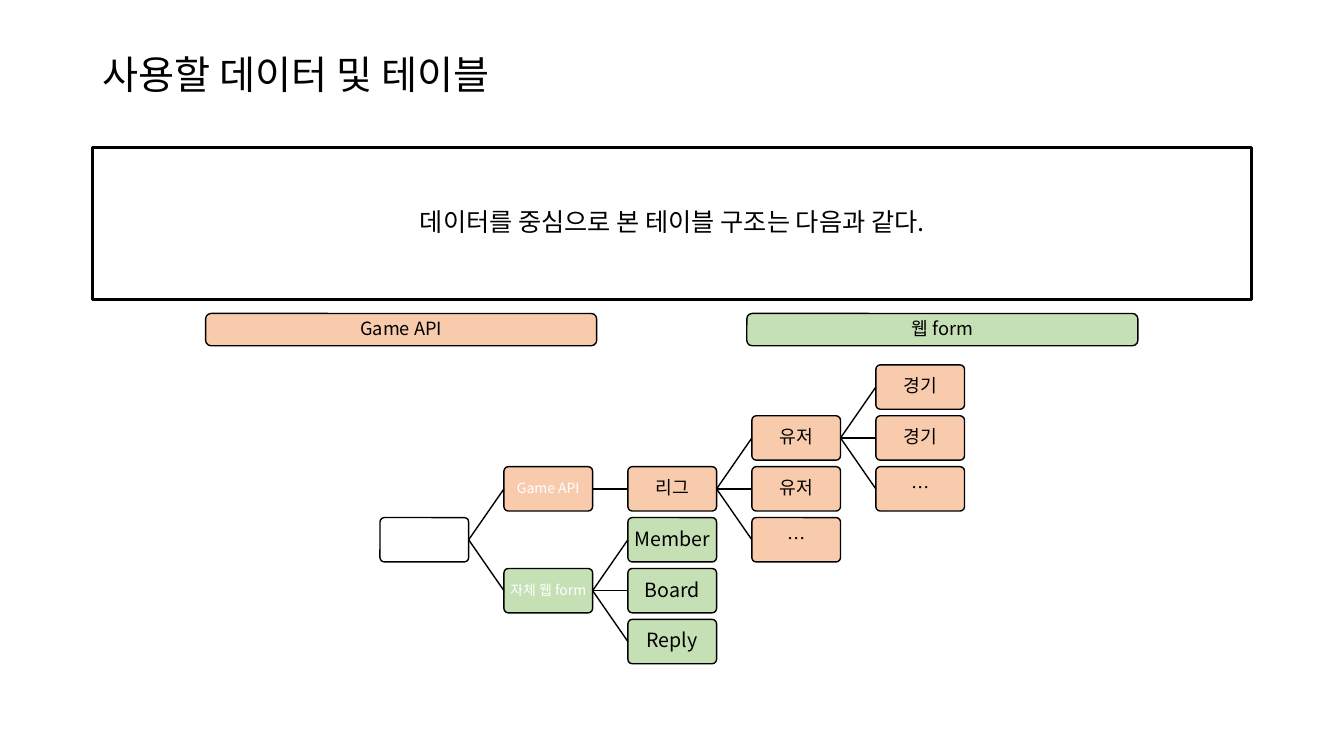
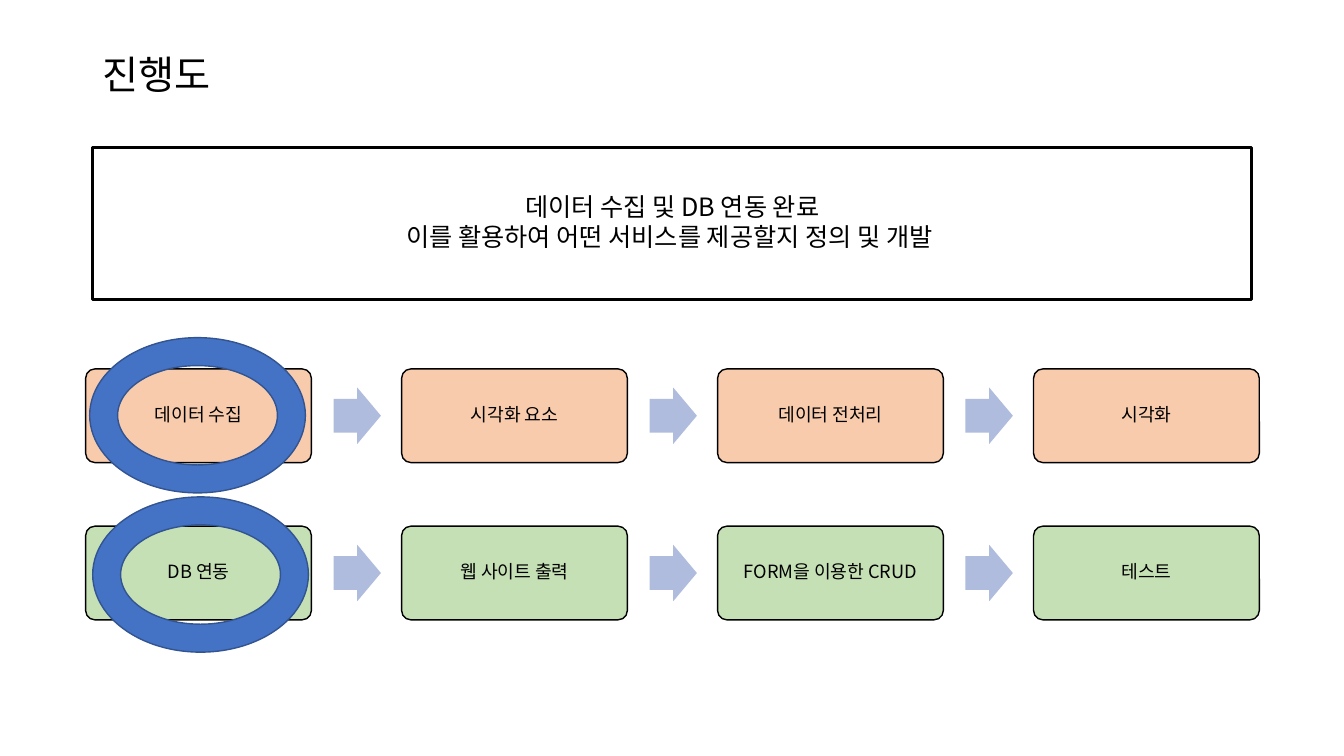
import pptx
import pptx.dml.color
import pptx.enum.shapes
import pptx.enum.text
import pptx.oxml.ns
import pptx.util
import lxml.etree

RGBColor = pptx.dml.color.RGBColor
BLACK = RGBColor(0x00, 0x00, 0x00)
WHITE = RGBColor(0xFF, 0xFF, 0xFF)
ORANGE = RGBColor(0xF8, 0xCB, 0xAD)
GREEN = RGBColor(0xC5, 0xE0, 0xB4)
ARROW = RGBColor(0xB0, 0xBC, 0xDE)
BLUE = RGBColor(0x44, 0x72, 0xC4)
DARK_BLUE = RGBColor(0x32, 0x54, 0x91)

FONT = "Noto Sans CJK KR"
PX = 4572
SHAPES = pptx.enum.shapes.MSO_SHAPE
ALIGN = pptx.enum.text.PP_ALIGN
qn = pptx.oxml.ns.qn


def write(text_frame, text, size, color=BLACK, align=ALIGN.CENTER, spacing=0.9, after=0):
    text_frame.text = text
    text_frame.word_wrap = True
    text_frame.vertical_anchor = pptx.enum.text.MSO_ANCHOR.MIDDLE
    for paragraph in text_frame.paragraphs:
        paragraph.alignment = align
        paragraph.line_spacing = spacing
        paragraph.space_after = pptx.util.Pt(after)
        for run in paragraph.runs:
            run.font.size = pptx.util.Pt(size)
            run.font.color.rgb = color
            run.font.name = FONT
            east_asian = lxml.etree.SubElement(run.font._element, qn("a:ea"))
            east_asian.set("typeface", FONT)


def add_shape(slide, kind, box, fill, line=BLACK, width=1, adjustments=(), text="", size=13, color=BLACK):
    shape = slide.shapes.add_shape(kind, *(length * PX for length in box))
    shape.shadow.inherit = False
    shape.fill.solid()
    shape.fill.fore_color.rgb = fill
    if line is None:
        shape.line.fill.background()
    else:
        shape.line.color.rgb = line
        shape.line.width = pptx.util.Pt(width)
    for index, value in enumerate(adjustments):
        shape.adjustments[index] = value
    if text:
        frame = shape.text_frame
        frame.margin_left = frame.margin_right = 2 * PX
        frame.margin_top = frame.margin_bottom = 2 * PX
        write(frame, text, size, color, after=3)
    return shape


presentation = pptx.Presentation()
presentation.slide_width = 2667 * PX
presentation.slide_height = 1500 * PX

slides = []
for title_text, summary_text in (
    ("사용할 데이터 및 테이블", "데이터를 중심으로 본 테이블 구조는 다음과 같다."),
    ("진행도", "데이터 수집 및 DB 연동 완료\n이를 활용하여 어떤 서비스를 제공할지 정의 및 개발 "),
):
    slide = presentation.slides.add_slide(presentation.slide_layouts[5])
    title = slide.shapes.title
    title.left, title.top, title.width, title.height = 184 * PX, 80 * PX, 2300 * PX, 144 * PX
    write(title.text_frame, title_text, 28, align=ALIGN.LEFT)
    add_shape(slide, SHAPES.RECTANGLE, (184, 292, 2300, 302), WHITE, width=2.25)
    summary = slide.shapes.add_textbox(244 * PX, 368 * PX, 2180 * PX, 142 * PX)
    write(summary.text_frame, summary_text, 18, spacing=1.0)
    slides.append(slide)

table_slide, progress_slide = slides

for left, fill, text in ((408, ORANGE, "Game API"), (1482, GREEN, "웹 form")):
    add_shape(table_slide, SHAPES.ROUNDED_RECTANGLE, (left, 622, 776, 64), fill, text=text)

NODES = (
    ("root", None, 0, 3, WHITE, "", 13, BLACK),
    ("api", "root", 1, 2, ORANGE, "Game API", 10, WHITE),
    ("form", "root", 1, 4, GREEN, "자체 웹 form", 10, WHITE),
    ("league", "api", 2, 2, ORANGE, "리그", 13, BLACK),
    ("member", "form", 2, 3, GREEN, "Member", 14, BLACK),
    ("board", "form", 2, 4, GREEN, "Board", 14, BLACK),
    ("reply", "form", 2, 5, GREEN, "Reply", 14, BLACK),
    ("user 1", "league", 3, 1, ORANGE, "유저", 13, BLACK),
    ("user 2", "league", 3, 2, ORANGE, "유저", 13, BLACK),
    ("more users", "league", 3, 3, ORANGE, "…", 13, BLACK),
    ("match 1", "user 1", 4, 0, ORANGE, "경기", 13, BLACK),
    ("match 2", "user 1", 4, 1, ORANGE, "경기", 13, BLACK),
    ("more matches", "user 1", 4, 2, ORANGE, "…", 13, BLACK),
)
LEFT_SITE, RIGHT_SITE = 1, 3
nodes = {}
for name, parent, column, row, fill, text, size, color in NODES:
    box = (754 + 246 * column, 724 + 101 * row, 176, 88)
    nodes[name] = add_shape(table_slide, SHAPES.ROUNDED_RECTANGLE, box, fill,
                            adjustments=(0.1,), text=text, size=size, color=color)
    if parent:
        connector = table_slide.shapes.add_connector(
            pptx.enum.shapes.MSO_CONNECTOR.STRAIGHT, 0, 0, 0, 0)
        connector.begin_connect(nodes[parent], RIGHT_SITE)
        connector.end_connect(nodes[name], LEFT_SITE)
        connector.line.color.rgb = BLACK
        connector.line.width = pptx.util.Pt(1)
        lxml.etree.SubElement(connector._element.spPr, qn("a:effectLst"))

STEP_ROWS = (
    (ORANGE, ("데이터 수집", "시각화 요소", "데이터 전처리", "시각화")),
    (GREEN, ("DB 연동", "웹 사이트 출력", "FORM을 이용한 CRUD", "테스트")),
)
for row, (fill, steps) in enumerate(STEP_ROWS):
    top = 732 + 312 * row
    for column, text in enumerate(steps):
        left = 170 + 627 * column
        add_shape(progress_slide, SHAPES.ROUNDED_RECTANGLE, (left, top, 448, 186), fill,
                  adjustments=(0.1,), text=text)
        if column < len(steps) - 1:
            add_shape(progress_slide, SHAPES.RIGHT_ARROW, (left + 492, top + 37, 94, 112),
                      ARROW, line=None, adjustments=(0.6, 0.5))

for left, top in ((184, 986), (178, 670)):
    add_shape(progress_slide, SHAPES.DONUT, (left, top, 428, 308), BLUE,
              line=DARK_BLUE, adjustments=(0.18,))

presentation.save("out.pptx")
